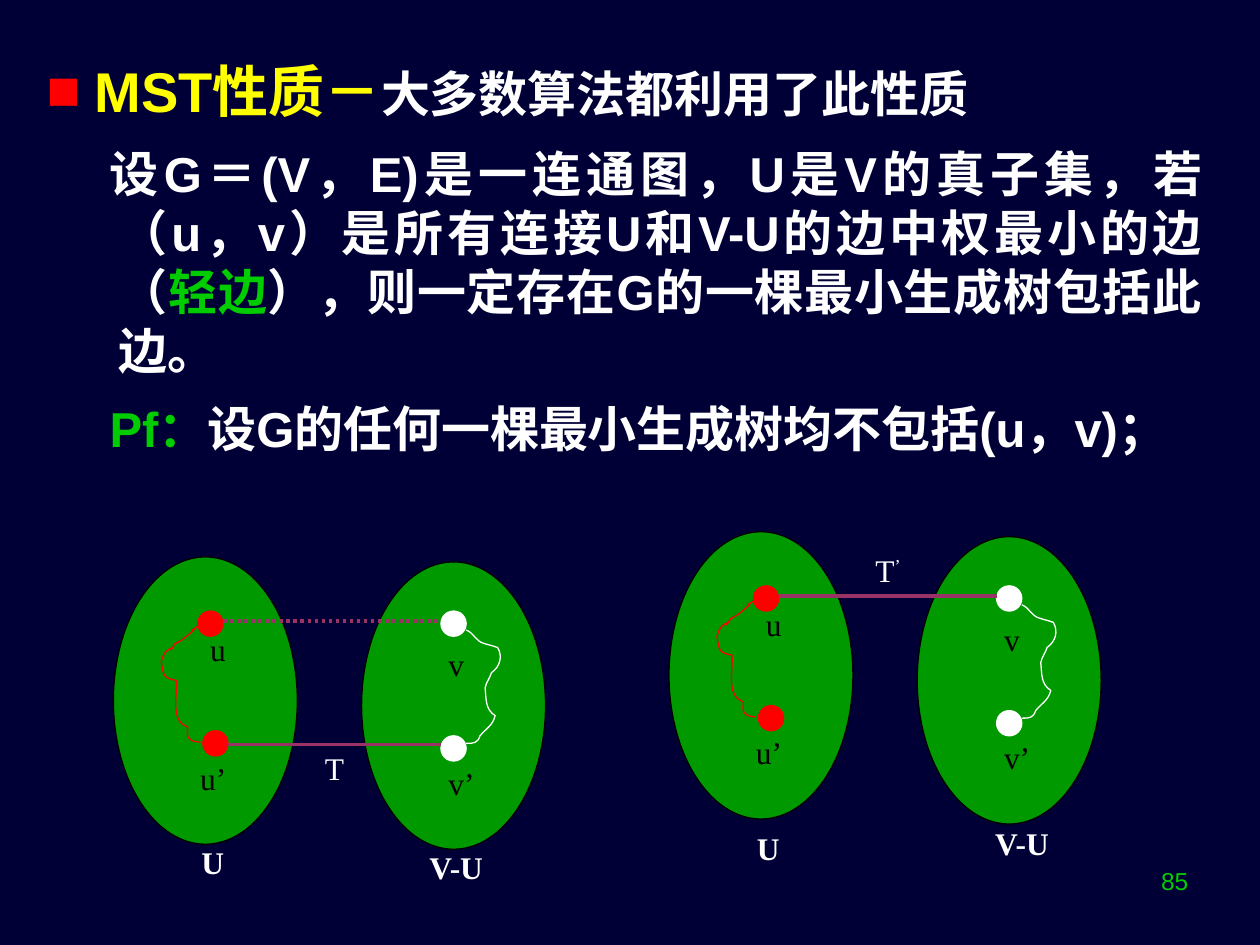
"""Build the slide on the MST property with its two exchange diagrams."""

from dataclasses import dataclass
from typing import Optional

from lxml.etree import SubElement
from pptx import Presentation
from pptx.dml.color import RGBColor
from pptx.enum.dml import MSO_LINE
from pptx.enum.shapes import MSO_CONNECTOR, MSO_SHAPE
from pptx.enum.text import MSO_ANCHOR, MSO_AUTO_SIZE, PP_ALIGN
from pptx.oxml.ns import qn
from pptx.util import Inches, Pt

Point = tuple[float, float]
Bezier = tuple[Point, Point, Point]


@dataclass(frozen=True)
class Theme:
    background: str = "000036"
    white: str = "FFFFFF"
    black: str = "000000"
    red: str = "FF0000"
    yellow: str = "FFFF00"
    accent: str = "00CC00"
    oval: str = "009900"
    edge: str = "993366"
    body_font: str = "Arial"
    label_font: str = "Times New Roman"
    title_size: int = 32
    body_size: int = 28
    label_size: int = 18
    number_size: int = 14


@dataclass(frozen=True)
class Span:
    text: str
    color: str
    size: int
    font: str
    bold: bool = False
    superscript: bool = False


@dataclass(frozen=True)
class Label:
    text: str
    at: Point
    width: float
    color: str
    bold: bool = False
    superscript: str = ""


@dataclass(frozen=True)
class Edge:
    start: Point
    end: Point
    dash: Optional[MSO_LINE] = None


@dataclass(frozen=True)
class Trail:
    color: str
    start: Point
    curves: tuple[Bezier, ...]


@dataclass(frozen=True)
class Diagram:
    origin: Point
    edges: tuple[Edge, ...]
    labels: tuple[Label, ...]


THEME = Theme()

OVALS = ((0, 0), (1.97, 0.04))
OVAL_SIZE = (1.46, 2.28)
NODES = (
    ((0.67, 0.43), THEME.red), ((0.71, 1.38), THEME.red),
    ((2.6, 0.43), THEME.white), ((2.6, 1.42), THEME.white),
)
NODE_SIZE = (0.2, 0.2)
NODE_LABELS = (
    Label("u", (0.67, 0.59), 0.39, THEME.black),
    Label("v", (2.56, 0.71), 0.32, THEME.black),
    Label("u’", (0.59, 1.61), 0.59, THEME.black),
    Label("v’", (2.56, 1.65), 0.59, THEME.black),
)
TRAILS = (
    Trail(THEME.white, (2.8, 0.58), (
        ((2.87, 0.61), (2.87, 0.67), (2.95, 0.69)),
        ((3.02, 0.71), (2.99, 0.7), (3.05, 0.72)),
        ((3.09, 0.79), (3.07, 0.87), (3, 0.92)),
        ((2.99, 0.96), (2.96, 0.99), (2.95, 1.04)),
        ((2.96, 1.13), (2.95, 1.21), (3.03, 1.26)),
        ((3.01, 1.34), (2.96, 1.36), (2.91, 1.42)),
        ((2.89, 1.48), (2.86, 1.48), (2.8, 1.48)),
    )),
    Trail(THEME.red, (0.67, 0.55), (
        ((0.54, 0.64), (0.74, 0.5), (0.57, 0.64)),
        ((0.55, 0.66), (0.49, 0.69), (0.49, 0.69)),
        ((0.41, 0.81), (0.52, 0.67), (0.42, 0.75)),
        ((0.4, 0.77), (0.39, 0.8), (0.38, 0.83)),
        ((0.4, 0.94), (0.39, 0.96), (0.5, 0.98)),
        ((0.51, 1.11), (0.45, 1.3), (0.59, 1.35)),
        ((0.59, 1.38), (0.58, 1.42), (0.6, 1.44)),
        ((0.62, 1.47), (0.69, 1.47), (0.69, 1.47)),
    )),
)
DIAGRAMS = (
    Diagram((5.31, 4.22), (Edge((0.87, 0.51), (2.6, 0.51)),), (
        Label("T", (1.54, 0.16), 0.43, THEME.white, superscript="’"),
        Label("U", (0.6, 2.37), 0.63, THEME.white, bold=True),
        Label("V-U", (2.49, 2.33), 0.91, THEME.white, bold=True),
    )),
    Diagram((0.9, 4.42), (
        Edge((0.91, 1.49), (2.6, 1.49)),
        Edge((0.87, 0.51), (2.6, 0.51), MSO_LINE.ROUND_DOT),
    ), (
        Label("T", (1.58, 1.53), 0.39, THEME.white),
        Label("U", (0.6, 2.28), 0.63, THEME.white, bold=True),
        Label("V-U", (2.41, 2.32), 0.83, THEME.white, bold=True),
    )),
)


def body_span(text: str, color: str = THEME.white, size: int = THEME.body_size) -> Span:
    """Describe a bold run of the body text."""
    return Span(text, color, size, THEME.body_font, bold=True)


HEADING = (body_span("MST性质－", THEME.yellow, THEME.title_size), body_span("大多数算法都利用了此性质"))
STATEMENTS = (
    (
        body_span("设G＝(V，E)是一连通图，U是V的真子集，若（u，v）是所有连接U和V-U的边中权最小的边（"),
        body_span("轻边", THEME.accent),
        body_span("），则一定存在G的一棵最小生成树包括此边。"),
    ),
    (body_span("Pf：", THEME.accent), body_span("设G的任何一棵最小生成树均不包括(u，v)；")),
)


def place(origin: Point, offset: Point) -> Point:
    """Return the point in EMU that lies at an offset from an origin."""
    return Inches(origin[0] + offset[0]), Inches(origin[1] + offset[1])


def write(paragraph, spans) -> None:
    """Add formatted runs to a paragraph."""
    for span in spans:
        run = paragraph.add_run()
        run.text = span.text
        run.font.name, run.font.size, run.font.bold = span.font, Pt(span.size), span.bold
        run.font.color.rgb = RGBColor.from_string(span.color)
        if span.superscript:
            run.font._element.set("baseline", "30000")


def indent(paragraph, left: float, first: float, bullet: str = "") -> None:
    """Set the indents of a paragraph and its red bullet, if any."""
    properties = paragraph._p.get_or_add_pPr()
    properties.set("marL", str(Inches(left)))
    properties.set("indent", str(Inches(first)))
    if bullet:
        color = SubElement(properties, qn("a:buClr"))
        SubElement(color, qn("a:srgbClr"), val=THEME.red)
        SubElement(properties, qn("a:buFont"), typeface=THEME.body_font)
        SubElement(properties, qn("a:buChar"), char=bullet)
    else:
        SubElement(properties, qn("a:buNone"))


def fill_body(body) -> None:
    """Move the body placeholder and write the property and its proof."""
    body.left, body.top, body.width, body.height = map(Inches, (0.27, 0.4, 9.37, 6.3))
    frame = body.text_frame
    frame.auto_size, frame.vertical_anchor = MSO_AUTO_SIZE.NONE, MSO_ANCHOR.TOP
    heading = frame.paragraphs[0]
    indent(heading, 0.38, -0.38, "■")
    heading.space_before = Pt(0)
    write(heading, HEADING)
    for spans in STATEMENTS:
        paragraph = frame.add_paragraph()
        paragraph.level, paragraph.alignment = 1, PP_ALIGN.JUSTIFY
        indent(paragraph, 0.57, -0.07)
        paragraph.space_before = Pt(0.4 * THEME.body_size)
        write(paragraph, spans)


def draw_text(shapes, at: Point, size: Point, spans):
    """Add a wrapping text box and return its paragraph."""
    frame = shapes.add_textbox(*at, *map(Inches, size)).text_frame
    frame.word_wrap = True
    write(frame.paragraphs[0], spans)
    return frame.paragraphs[0]


def draw_label(shapes, origin: Point, label: Label) -> None:
    """Draw a diagram label."""
    spans = [Span(label.text, label.color, THEME.label_size, THEME.label_font, label.bold)]
    if label.superscript:
        spans.append(Span(label.superscript, label.color, THEME.label_size, THEME.label_font, superscript=True))
    draw_text(shapes, place(origin, label.at), (label.width, 0.34), spans).line_spacing = 0.8


def draw_ellipse(shapes, at: Point, size: Point, fill: str, line: str) -> None:
    """Draw a filled ellipse."""
    shape = shapes.add_shape(MSO_SHAPE.OVAL, *at, *map(Inches, size))
    shape.shadow.inherit = False
    shape.fill.solid()
    shape.fill.fore_color.rgb = RGBColor.from_string(fill)
    shape.line.color.rgb, shape.line.width = RGBColor.from_string(line), Pt(0.75)


def draw_edge(shapes, origin: Point, edge: Edge) -> None:
    """Draw a tree edge between two nodes."""
    line = shapes.add_connector(MSO_CONNECTOR.STRAIGHT, *place(origin, edge.start), *place(origin, edge.end))
    SubElement(line._element.spPr, qn("a:effectLst"))
    line.line.color.rgb, line.line.width = RGBColor.from_string(THEME.edge), Pt(2)
    if edge.dash:
        line.line.dash_style = edge.dash


def draw_trail(shapes, origin: Point, trail: Trail) -> None:
    """Draw a winding path of cubic curves inside a vertex set."""
    builder = shapes.build_freeform(*place(origin, trail.start))
    builder.add_line_segments([place(origin, point) for curve in trail.curves for point in curve], close=False)
    shape = builder.convert_to_shape()
    segments = list(shape._element.iter(qn("a:lnTo")))
    for first in range(0, len(segments), 3):
        curve = SubElement(segments[first].getparent(), qn("a:cubicBezTo"))
        for segment in segments[first:first + 3]:
            curve.append(segment[0])
            segment.getparent().remove(segment)
    shape.shadow.inherit = False
    shape.fill.background()
    shape.line.color.rgb, shape.line.width = RGBColor.from_string(trail.color), Pt(0.75)


def draw_diagram(shapes, diagram: Diagram) -> None:
    """Draw two vertex sets with their nodes, paths, edges and labels."""
    for offset in OVALS:
        draw_ellipse(shapes, place(diagram.origin, offset), OVAL_SIZE, THEME.oval, THEME.black)
    for offset, color in NODES:
        draw_ellipse(shapes, place(diagram.origin, offset), NODE_SIZE, color, color)
    for trail in TRAILS:
        draw_trail(shapes, diagram.origin, trail)
    for edge in diagram.edges:
        draw_edge(shapes, diagram.origin, edge)
    for label in NODE_LABELS + diagram.labels:
        draw_label(shapes, diagram.origin, label)


def main() -> None:
    """Build and save the presentation."""
    presentation = Presentation()
    presentation.slide_width, presentation.slide_height = Inches(10), Inches(7.5)
    slide = presentation.slides.add_slide(presentation.slide_layouts[1])
    slide.background.fill.solid()
    slide.background.fill.fore_color.rgb = RGBColor.from_string(THEME.background)
    title = slide.shapes.title._element
    title.getparent().remove(title)
    fill_body(slide.placeholders[1])
    for diagram in DIAGRAMS:
        draw_diagram(slide.shapes.add_group_shape().shapes, diagram)
    number = Span("85", THEME.accent, THEME.number_size, THEME.body_font)
    draw_text(slide.shapes, place((0, 0), (7.2, 6.82)), (2.33, 0.52), [number]).alignment = PP_ALIGN.RIGHT
    presentation.save("out.pptx")


if __name__ == "__main__":
    main()
